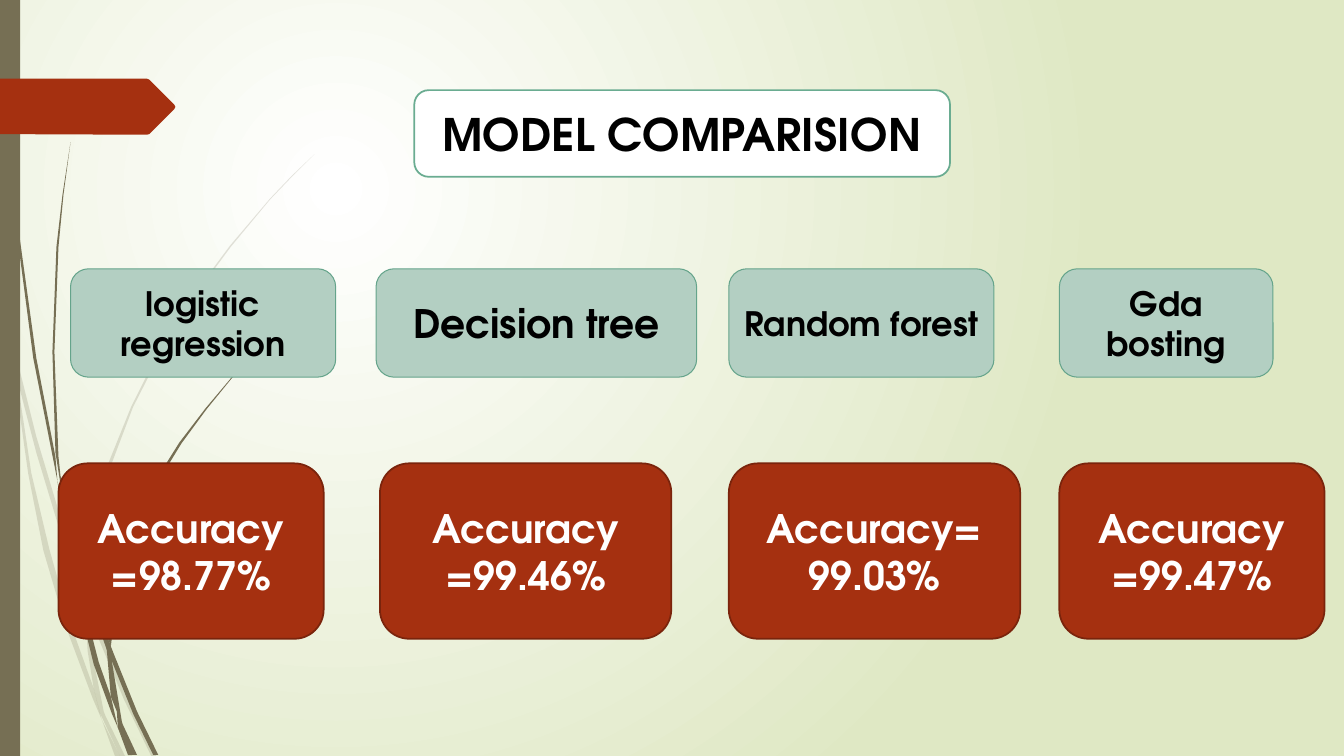
"""Builds the model comparison slide with four classifiers and their accuracies."""
import lxml.etree
import pptx
import pptx.dml.color
import pptx.enum.shapes
import pptx.enum.text
import pptx.oxml.ns
import pptx.util

Pt = pptx.util.Pt
qn = pptx.oxml.ns.qn
ROUNDED = pptx.enum.shapes.MSO_SHAPE.ROUNDED_RECTANGLE
RECTANGLE = pptx.enum.shapes.MSO_SHAPE.RECTANGLE
OLIVE, RUST = "766F54", "A53010"
BLADE_UNIT = 0.72


def paint(shape, fill, line=None, line_width=0):
    shape.shadow.inherit = False
    shape.fill.solid()
    shape.fill.fore_color.rgb = pptx.dml.color.RGBColor.from_string(fill)
    if line:
        shape.line.color.rgb = pptx.dml.color.RGBColor.from_string(line)
        shape.line.width = Pt(line_width)
    else:
        shape.line.fill.background()


def write(shape, text, size, color):
    frame = shape.text_frame
    frame.text = text
    frame.word_wrap = True
    frame.auto_size = pptx.enum.text.MSO_AUTO_SIZE.NONE
    frame.vertical_anchor = pptx.enum.text.MSO_ANCHOR.MIDDLE
    for paragraph in frame.paragraphs:
        paragraph.alignment = pptx.enum.text.PP_ALIGN.CENTER
        for run in paragraph.runs:
            run.font.name = "TeX Gyre Adventor"
            run.font.size = Pt(size)
            run.font.bold = True
            run.font.color.rgb = pptx.dml.color.RGBColor.from_string(color)


deck = pptx.Presentation()
deck.slide_width, deck.slide_height = Pt(960), Pt(540)
slide = deck.slides.add_slide(deck.slide_layouts[5])
shapes = slide.shapes

backdrop = slide.background.fill
backdrop.gradient()
for stop, color in zip(backdrop.gradient_stops, ("FFFFFF", "DFE8C4")):
    stop.color.rgb = pptx.dml.color.RGBColor.from_string(color)
gradient = slide.element.find(".//" + qn("a:gradFill"))
direction = gradient.find(qn("a:lin"))
radial = lxml.etree.Element(qn("a:path"), path="circle")
lxml.etree.SubElement(radial, qn("a:fillToRect"), l="50000", t="50000", r="100000", b="100000")
gradient.replace(direction, radial)

pale_blades = [
    "0,282 9,322 11,350 17,376 31,469 49,545 70,619 93,683 101,714 119,750 "
    "114,750 101,714 92,693 65,621 43,546 28,470 11,350 10,344 0,299",
    "14,345 36,433 62,520 85,586 92,607 127,692 155,750 150,750 123,694 88,610 84,599 58,522 36,449 17,376",
    "84,599 88,610 91,646 103,706 105,711 124,750 119,750 99,707 93,683 87,646",
    "88,584 95,522 110,462 132,404 160,349 192,295 229,245 268,198 290,175 312,153 289,175 "
    "268,197 228,244 191,294 158,348 130,404 107,461 93,521 85,584 85,586 88,596",
]
dark_blades = [
    "3,0 4,0 5,48 8,109 19,232 36,355 55,453 57,477 64,505 72,556 98,657 110,691 117,722 131,749 "
    "127,749 117,722 111,708 93,659 68,557 57,477 33,355 17,233 7,110 4,48",
    "70,141 63,193 58,245 54,349 58,453 60,472 93,590 106,631 113,649 136,706 157,749 "
    "152,749 132,708 111,656 106,645 88,592 64,505 55,449 52,349 56,245 62,193",
    "106,631 110,641 111,656 121,716 122,719 136,749 130,749 117,722 116,706 110,691 106,645",
    "111,633 115,577 125,552 140,513 158,476 180,440 205,406 231,374 245,359 261,344 260,344 245,358 "
    "231,373 204,405 178,439 156,474 137,512 122,551 112,591 106,631 110,641",
]
for blades, opacity in ((pale_blades, "20000"), (dark_blades, None)):
    for blade in blades:
        outline = [tuple(Pt(int(number) * BLADE_UNIT) for number in point.split(","))
                   for point in blade.split()]
        blade_builder = shapes.build_freeform(*outline[0], scale=1.0)
        blade_builder.add_line_segments(outline[1:], close=True)
        grass = blade_builder.convert_to_shape()
        paint(grass, OLIVE)
        if opacity:
            grass_color = grass.element.spPr.find(".//" + qn("a:srgbClr"))
            lxml.etree.SubElement(grass_color, qn("a:alpha"), val=opacity)

side_bar = shapes.add_shape(RECTANGLE, 0, 0, Pt(14.4), Pt(540))
paint(side_bar, OLIVE)

banner_corners = [(105.1, 56.2), (106.6, 56.9), (124.6, 74.9), (125.3, 76.3), (124.6, 77.8),
                  (106.6, 95.8), (105.1, 96.2), (97.9, 96.2), (0, 95.8)]
banner_builder = shapes.build_freeform(0, Pt(56.2), scale=1.0)
banner_builder.add_line_segments([(Pt(x), Pt(y)) for x, y in banner_corners], close=True)
paint(banner_builder.convert_to_shape(), RUST)

title_box = Pt(295.92), Pt(64.4), Pt(382.7), Pt(61.9)
title_frame = shapes.add_shape(ROUNDED, *title_box)
paint(title_frame, "FFFFFF", "6AAC91", 1.25)
title = shapes.title
title.left, title.top, title.width, title.height = title_box
write(title, "MODEL COMPARISION", 32, "000000")
title_frame.element.addnext(title.element)

models = [
    ("logistic regression", 24, 50.4, 189.4, "Accuracy =98.77%", 41.8, 189.4),
    ("Decision tree", 28, 268.6, 229, "Accuracy\n=99.46%", 271.4, 208.1),
    ("Random forest", 24, 520.6, 189.4, "Accuracy=\n99.03%", 520.6, 208.1),
    ("Gda bosting", 24, 756.7, 152.6, "Accuracy\n=99.47%", 756.7, 189.4),
]
for model, size, model_left, model_width, accuracy, score_left, score_width in models:
    model_box = shapes.add_shape(ROUNDED, Pt(model_left), Pt(192), Pt(model_width), Pt(77.4))
    paint(model_box, "B3CFC2", "65A48B", 0.75)
    write(model_box, model, size, "000000")
    score_box = shapes.add_shape(ROUNDED, Pt(score_left), Pt(331), Pt(score_width), Pt(125.3))
    paint(score_box, RUST, "7A240C", 1.25)
    write(score_box, accuracy, 28, "FFFFFF")

deck.save("out.pptx")
